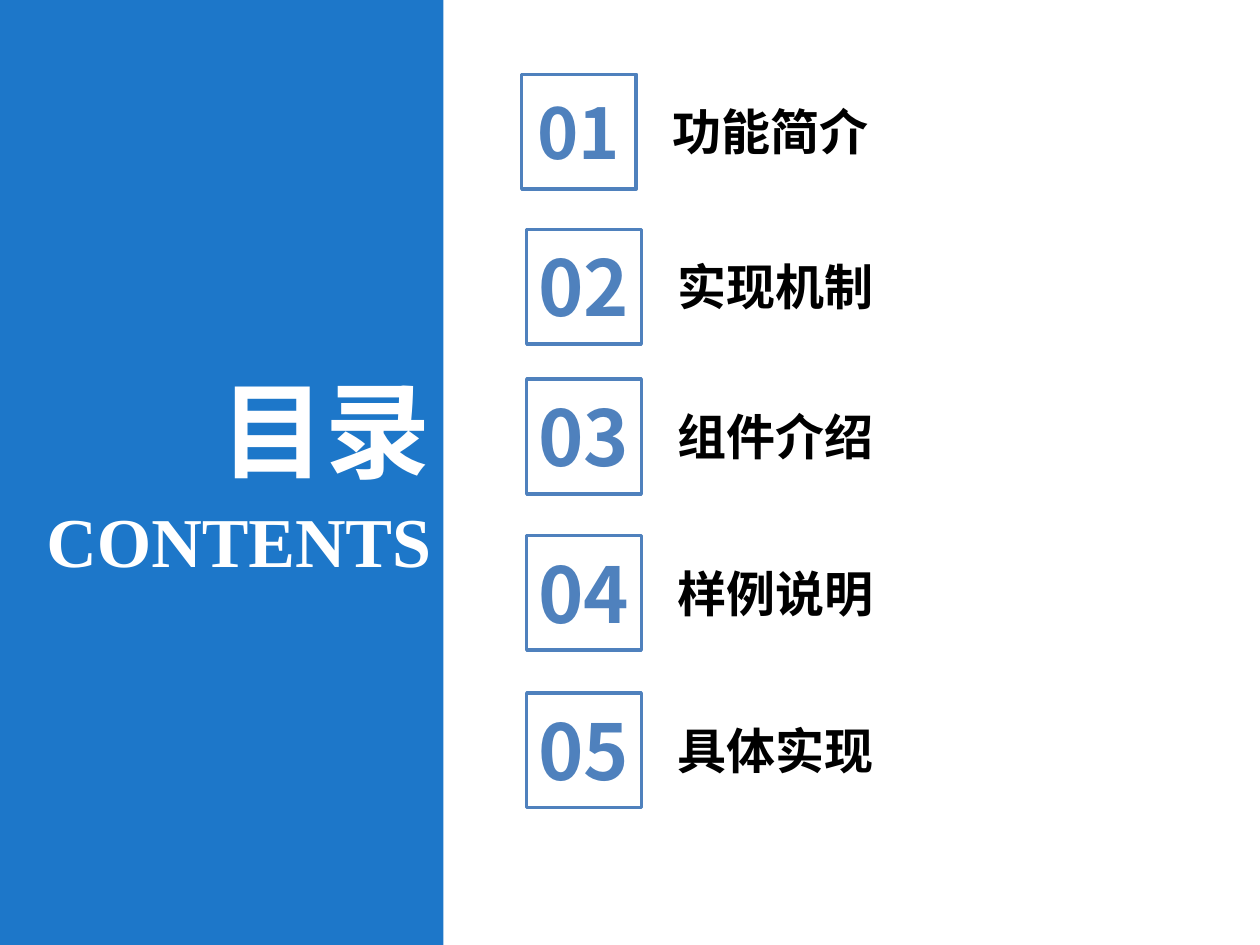
from pptx import Presentation
from pptx import util as u
from pptx.dml.color import RGBColor
from pptx.enum import shapes, text
from pptx.oxml.ns import qn
from lxml import etree

COLS, ROWS = 100, 75
SANS, SERIF = "Noto Sans CJK SC", "Times New Roman"
BLUE, STEEL, WHITE, BLACK = "1D77C9", "4F81BD", "FFFFFF", "000000"
LEFT, MID, RIGHT = text.PP_ALIGN.LEFT, text.PP_ALIGN.CENTER, text.PP_ALIGN.RIGHT

deck = Presentation()
deck.slide_width, deck.slide_height = u.Inches(10), u.Inches(7.5)


def hue(code):
    return RGBColor.from_string(code)


def span(box):
    col, row = deck.slide_width / COLS, deck.slide_height / ROWS
    return [round(n * step) for n, step in zip(box, (col, row, col, row))]


def apply(item, fmt):
    for key, val in fmt.items():
        setattr(item, key, val)


def place(item, box):
    apply(item, dict(zip(("left", "top", "width", "height"), span(box))))


def write(item, words, size, color, align, face=SANS):
    frame = item.text_frame
    apply(frame, {"word_wrap": True, "vertical_anchor": text.MSO_ANCHOR.TOP,
                  "auto_size": text.MSO_AUTO_SIZE.SHAPE_TO_FIT_TEXT})
    para = frame.paragraphs[0]
    para.alignment = align
    run = para.add_run()
    run.text = words
    apply(run.font, {"size": u.Pt(size), "bold": True, "name": face})
    run.font.color.rgb = hue(color)
    east = etree.SubElement(run._r.get_or_add_rPr(), qn("a:ea"))
    east.set("typeface", face)


def label(parts, box, *style):
    write(parts.add_textbox(*span(box)), *style)


def rect(parts, box, fill=None, line=None):
    item = parts.add_shape(shapes.MSO_SHAPE.RECTANGLE, *span(box))
    item.shadow.inherit = False
    if fill:
        item.fill.solid()
        item.fill.fore_color.rgb = hue(fill)
    else:
        item.fill.background()
    if line:
        item.line.color.rgb = hue(line)
        item.line.width = u.Pt(2)
    else:
        item.line.fill.background()
    return item


def panel(slide, box):
    x, y, wide, high = box
    back = rect(slide.shapes, box, fill=BLUE)
    title = slide.shapes.title
    title.element.addprevious(back.element)
    place(title, (x + wide - 25.4, y + high * 0.38, 25.4, 11.1))
    write(title, "目录", 60, WHITE, RIGHT)
    label(slide.shapes, (x, y + high * 0.52, wide, 7.7),
          "CONTENTS", 40, WHITE, RIGHT, SERIF)


def entry(slide, box, num, words, size, inset, drop):
    x, y, wide, high = box
    parts = slide.shapes.add_group_shape().shapes
    label(parts, (x + 11, y + 1.7, wide - 11, 5.7), words, 28, BLACK, LEFT)
    label(parts, (x - inset, y + drop, 9.1 + 2 * inset, high - 2 * drop),
          f"{num:02}", size, STEEL, MID)
    rect(parts, (x, y, 9.1, high), line=STEEL)


def main():
    slide = deck.slides.add_slide(deck.slide_layouts[5])
    panel(slide, (0, 0, 35.2, ROWS))
    items = [
        ("功能简介", 41.4, 5.9, 40.7, 40, 0, 0.7),
        ("实现机制", 41.8, 18.2, 37, 44, 0.4, 0.35),
        ("组件介绍", 41.8, 30.1, 41.8, 44, 0.4, 0.35),
        ("样例说明", 41.8, 42.5, 45.7, 44, 0.4, 0.35),
        ("具体实现", 41.8, 55, 45.7, 44, 0.4, 0.35),
    ]
    for num, (words, x, y, wide, *style) in enumerate(items, 1):
        entry(slide, (x, y, wide, 9.1), num, words, *style)
    deck.save("out.pptx")


if __name__ == "__main__":
    main()
